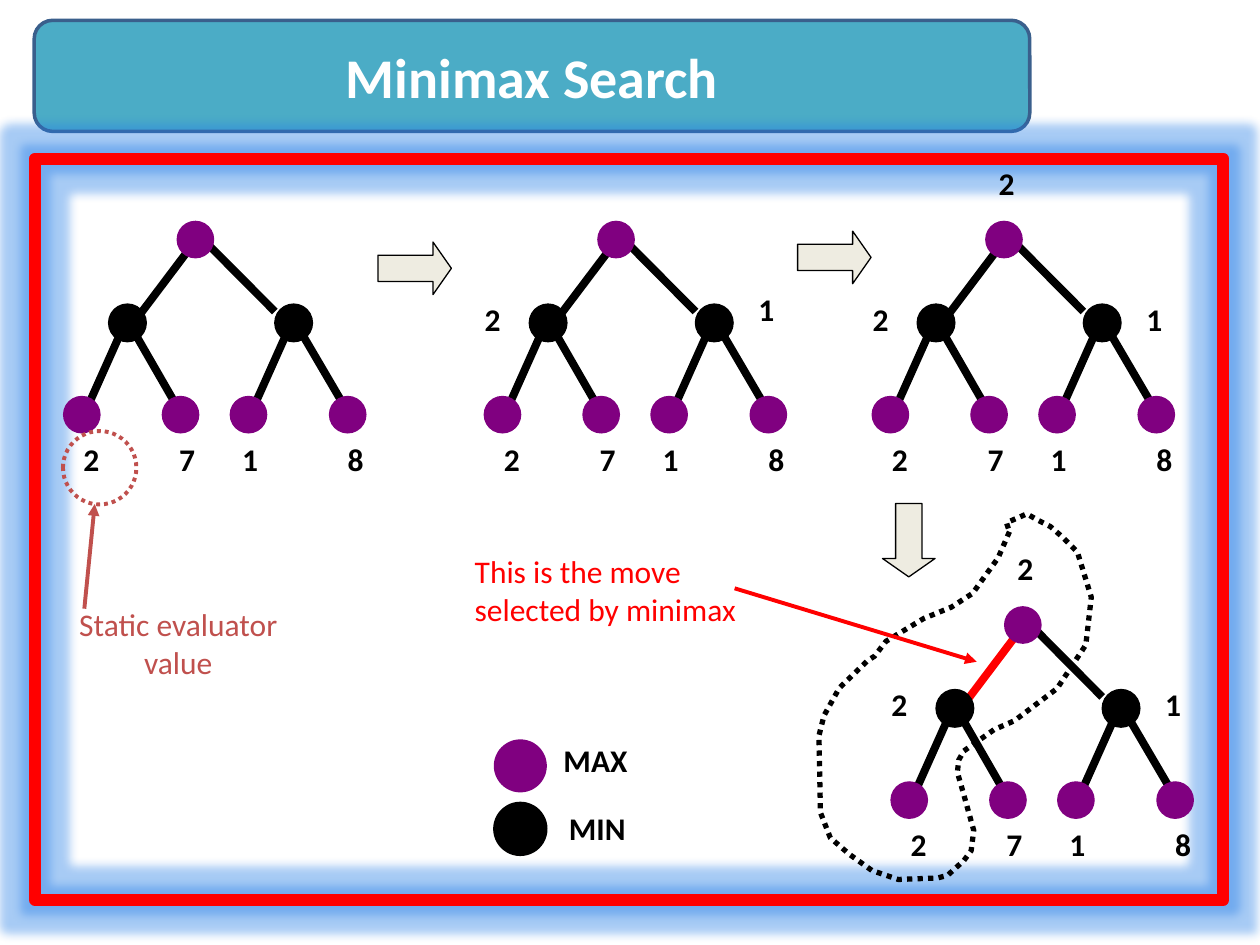
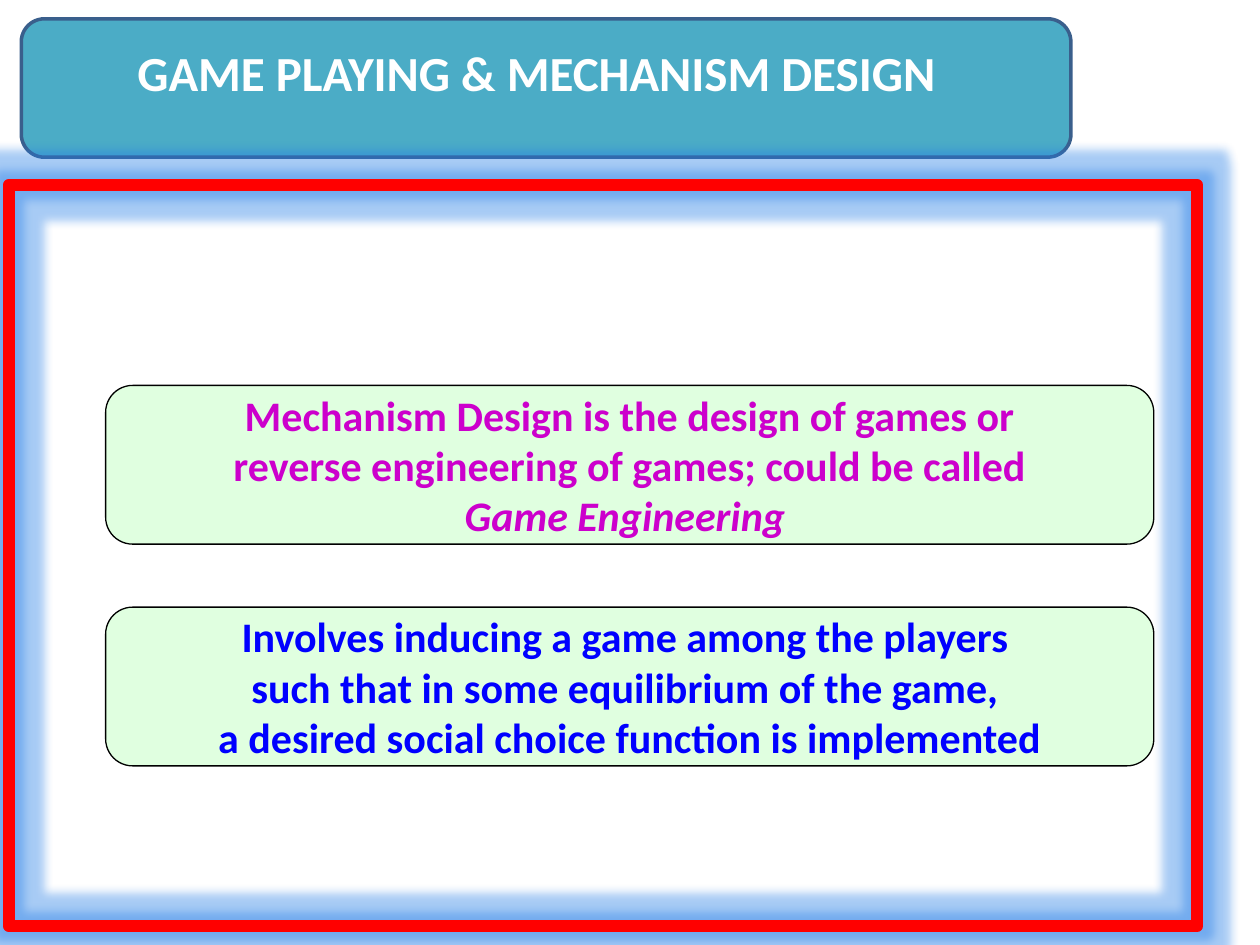
from lxml.etree import SubElement
from pptx import Presentation
from pptx.dml.color import RGBColor as RGB
from pptx.enum.dml import MSO_LINE as DASH
from pptx.enum.shapes import MSO_CONNECTOR as LINK, MSO_SHAPE as KIND
from pptx.enum.text import MSO_ANCHOR as ANCHOR, MSO_AUTO_SIZE as FIT, PP_ALIGN as ALIGN
from pptx.oxml.ns import qn
from pptx.util import Cm, Pt

BLACK = RGB(0, 0, 0)
WHITE = RGB(255, 255, 255)
RED = RGB(255, 0, 0)
BLUE = RGB(0, 0, 255)
PURPLE = RGB(0x80, 0x00, 0x80)
PINK = RGB(0xCC, 0x00, 0xCC)
BRICK = RGB(0xC0, 0x50, 0x4D)
TEAL = RGB(0x4B, 0xAC, 0xC6)
NAVY = RGB(0x3A, 0x5F, 0x8C)
CREAM = RGB(0xEE, 0xEC, 0xE1)
MINT = RGB(0xCC, 0xFF, 0xCC)
GLOW = RGB(0x25, 0x7D, 0xE6)


def paint(shape, fill=None, line=None, width=0.75):
    shape.shadow.inherit = False
    if fill is None:
        shape.fill.background()
    else:
        shape.fill.solid()
        shape.fill.fore_color.rgb = fill
    if line is None:
        shape.line.fill.background()
    else:
        shape.line.color.rgb = line
        shape.line.width = Pt(width)


def write(frame, text, size=18, color=BLACK, bold=True, align=ALIGN.LEFT):
    frame.text = text
    frame.word_wrap = True
    frame.auto_size = FIT.NONE
    for para in frame.paragraphs:
        para.alignment = align
        for run in para.runs:
            run.font.name = "Calibri"
            run.font.size = Pt(size)
            run.font.bold = bold
            run.font.color.rgb = color


deck = Presentation()
deck.slide_width, deck.slide_height = Cm(25.4), Cm(19.05)

# title, size, title box, band box, frame corner
heads = [
    ("Minimax Search", 32, (0.69, 0.41, 20.07, 2.24), (0.69, 0.41, 20.07, 2.24), (0.71, 3.2)),
    ("GAME PLAYING & MECHANISM DESIGN", 28, (1.07, 0.72, 19.48, 1.46),
     (0.43, 0.38, 21.16, 2.79), (0.18, 3.73)),
]
for text, size, box, bar, spot in heads:
    slide = deck.slides.add_slide(deck.slide_layouts[5])
    band = slide.shapes.add_shape(KIND.ROUNDED_RECTANGLE, *map(Cm, bar))
    paint(band, TEAL, NAVY, 2)
    title = slide.shapes.title
    title.left, title.top, title.width, title.height = map(Cm, box)
    write(title.text_frame, text, size, WHITE, align=ALIGN.CENTER)
    title.text_frame.vertical_anchor = ANCHOR.MIDDLE
    band._element.addnext(title._element)
    frame = slide.shapes.add_shape(KIND.RECTANGLE, *map(Cm, (*spot, 23.95, 14.94)))
    paint(frame, None, RED, 7)
    glow = SubElement(frame._element.spPr.find(qn("a:effectLst")), qn("a:glow"), rad="139700")
    tint = SubElement(glow, qn("a:srgbClr"), val=str(GLOW))
    SubElement(tint, qn("a:alpha"), val="40000")

search, design = deck.slides
shapes = search.shapes

trail = [
    (20.35, 10.72), (20.12, 11.25), (19.86, 11.61), (19.61, 11.96), (19.18, 12.24),
    (18.62, 12.47), (17.86, 12.93), (17.63, 13.23), (17.5, 13.31), (16.92, 13.87),
    (16.61, 14.43), (16.51, 14.83), (16.54, 16.38), (16.74, 16.89), (17.12, 17.22),
    (17.58, 17.55), (18.11, 17.73), (18.9, 17.7), (19.1, 17.65), (19.43, 17.35),
    (19.58, 17.15), (19.63, 16.74), (19.51, 16.31), (19.41, 15.95), (19.3, 15.57),
    (19.33, 15.32), (19.43, 15.14), (20.04, 14.71), (20.45, 14.53), (21.31, 13.88),
    (21.89, 13), (22, 12.04), (21.72, 11.13), (21.41, 10.82), (21.18, 10.62),
    (20.93, 10.49), (20.7, 10.36), (20.29, 10.54),
]
points = [(Cm(x), Cm(y)) for x, y in trail]
pen = shapes.build_freeform(*points[0])
pen.add_line_segments(points[1:], close=True)
loop = pen.convert_to_shape()
paint(loop, None, BLACK, 3)
loop.line.dash_style = DASH.ROUND_DOT

edges = [
    (-1.3, 1.75, 0.08, -0.08), (1.6, 1.45, 0.08, -0.08),
    (-1.45, 1.75, -2.21, 3.45), (-1.3, 1.75, -0.23, 3.61),
    (1.9, 1.75, 1.14, 3.45), (2.06, 1.75, 3.15, 3.61),
]
nodes = [(0, 0, PURPLE), (-1.37, 1.68, BLACK), (1.98, 1.68, BLACK)]
nodes += [(x, 3.53, PURPLE) for x in (-2.29, -0.3, 1.07, 3.07)]
leaves = [("2", -2.51, 3.91), ("7", -0.58, 3.91), ("1", 0.69, 3.91), ("8", 2.82, 3.91)]
left, right, top = ("2", -2.9, 1.09), ("1", 2.62, 1.09), ("2", -0.36, -1.65)
trees = [
    (3.94, 4.83, []),
    (12.42, 4.83, [left, ("1", 2.62, 0.89)]),
    (20.24, 4.83, [left, right, top]),
    (20.62, 12.6, [left, right, top]),
]

lines = [(x + a, y + b, x + c, y + d, BLACK, 4.5, False)
         for x, y, _ in trees for a, b, c, d in edges]
move = len(lines) - len(edges)
lines[move] = (*lines[move][:4], RED, 4.5, False)
lines += [(14.81, 11.86, 19.69, 13.34, RED, 2.25, True),
          (1.7, 12.27, 1.91, 10.16, BRICK, 2.25, True)]
for *ends, color, width, tip in lines:
    link = shapes.add_connector(LINK.STRAIGHT, *map(Cm, ends))
    link.line.color.rgb = color
    link.line.width = Pt(width)
    if tip:
        SubElement(link.line._get_or_add_ln(), qn("a:tailEnd"), type="triangle")
    SubElement(link._element.spPr, qn("a:effectLst"))

discs = [(x + a, y + b, 0.76, color) for x, y, _ in trees for a, b, color in nodes]
discs += [(10.49, 15.44, 1.07, PURPLE), (10.49, 16.71, 1.07, BLACK)]
for x, y, size, color in discs:
    disc = shapes.add_shape(KIND.OVAL, Cm(x - size / 2), Cm(y - size / 2), Cm(size), Cm(size))
    paint(disc, color, BLACK if color == BLACK else None)

notes = [(text, x + a, y + b, 0.94, 1.27, BLACK, True, ALIGN.LEFT)
         for x, y, values in trees for text, a, b in leaves + values]
notes += [
    ("MAX", 11.11, 14.81, 2.6, 1.27, BLACK, True, ALIGN.LEFT),
    ("MIN", 11.22, 16.18, 2.26, 1.27, BLACK, True, ALIGN.LEFT),
    ("This is the move\nselected by minimax", 9.32, 11, 6, 1.78, RED, False, ALIGN.LEFT),
    ("Static evaluator\nvalue", 1.27, 12.07, 4.65, 1.78, BRICK, False, ALIGN.CENTER),
]
for text, x, y, w, h, color, bold, align in notes:
    note = shapes.add_textbox(Cm(x), Cm(y), Cm(w), Cm(h))
    write(note.text_frame, text, 18, color, bold, align)

ring = shapes.add_shape(KIND.OVAL, Cm(1.27), Cm(8.69), Cm(1.48), Cm(1.48))
paint(ring, None, BRICK, 2.25)
ring.line.dash_style = DASH.ROUND_DOT

for x, y, turn in [(7.62, 4.88, 0), (16.08, 4.66, 0), (17.58, 10.36, 90)]:
    arrow = shapes.add_shape(KIND.RIGHT_ARROW, Cm(x), Cm(y), Cm(1.48), Cm(1.06))
    arrow.adjustments[0], arrow.adjustments[1] = 0.5, 0.35
    arrow.rotation = turn
    paint(arrow, CREAM, BLACK)

cards = [
    (7.77, PINK, "Mechanism Design is the design of games or\n"
     "reverse engineering of games; could be called\nGame Engineering "),
    (12.24, BLUE, "Involves inducing a game among the players \n"
     "such that in some equilibrium of the game, \n"
     "a desired social choice function is implemented"),
]
for y, color, text in cards:
    card = design.shapes.add_shape(KIND.ROUNDED_RECTANGLE, Cm(2.13), Cm(y), Cm(21.13), Cm(3.2))
    card.adjustments[0] = 0.17
    paint(card, MINT, BLACK)
    tint = card._element.spPr.find(qn("a:solidFill")).find(qn("a:srgbClr"))
    SubElement(tint, qn("a:alpha"), val="60000")
    write(card.text_frame, text, 24, color, align=ALIGN.CENTER)
    card.text_frame.vertical_anchor = ANCHOR.MIDDLE
    if color == PINK:
        card.text_frame.paragraphs[-1].runs[0].font.italic = True

deck.save("out.pptx")
